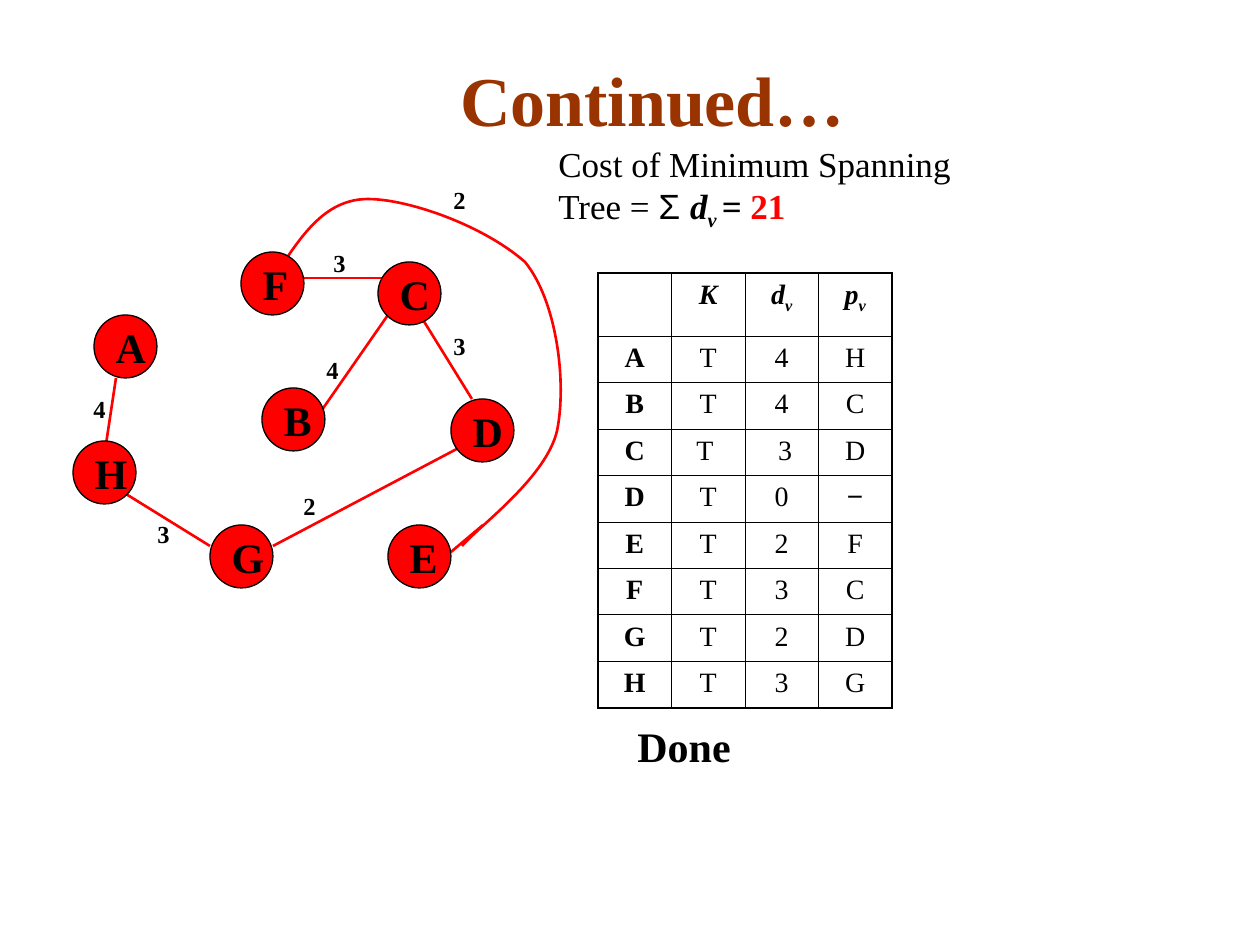
from lxml import etree
from pptx import Presentation, util as u
from pptx.dml.color import RGBColor
from pptx.enum import shapes, text
from pptx.oxml import parse_xml
from pptx.oxml.ns import nsdecls, qn

PX = 914400 // 126
C = {"red": "FF0000", "black": "000000", "title": "993300"}


def add_text(tf, runs, size, align=text.PP_ALIGN.LEFT):
    """Each run is (text, flags[, colour[, font]]); flags: b bold, i italic, s subscript."""
    p = tf.paragraphs[0]
    p.alignment = align
    for words, flags, *look in runs:
        color, font = (look + ["black", "Times New Roman"][len(look):])[:2]
        r = p.add_run()
        r.text = words
        r.font.size = u.Pt(size)
        r.font.name = font
        r.font.bold = "b" in flags
        r.font.italic = "i" in flags
        r.font.color.rgb = RGBColor.from_string(C[color])
        if "s" in flags:
            r._r.get_or_add_rPr().set("baseline", "-25000")


def add_box(x, y, w, h, runs, size, align=text.PP_ALIGN.LEFT):
    tf = s.shapes.add_textbox(x * PX, y * PX, w * PX, h * PX).text_frame
    tf.word_wrap = True
    add_text(tf, runs, size, align)
    return tf


prs = Presentation()
prs.slide_width, prs.slide_height = u.Inches(10), u.Inches(7.5)
s = prs.slides.add_slide(prs.slide_layouts[6])

# Curved edge F-E: a start point, then three points per Bezier segment
curve = [(284, 262), (305, 231), (328, 199), (368, 199), (408, 199), (483, 225), (525, 262),
         (557, 301), (567, 383), (557, 431), (546, 478), (478, 527), (462, 546)]
fb = s.shapes.build_freeform(*curve[0], scale=PX)
fb.add_line_segments(curve[1:], close=False)
sp = fb.convert_to_shape()
sp.shadow.inherit = False
sp.fill.background()
sp.line.color.rgb = RGBColor.from_string(C["red"])
sp.line.width = u.Pt(1.5)
steps = list(sp._element.iter(qn("a:lnTo")))
for i in range(0, len(steps), 3):
    bezier = etree.SubElement(steps[i].getparent(), qn("a:cubicBezTo"))
    for step in steps[i:i + 3]:
        bezier.append(step[0])
        step.getparent().remove(step)

# Straight edges
edges = [(315, 420, 388, 315), (273, 546, 472, 441), (105, 451, 116, 378), (300, 278, 399, 278),
         (420, 315, 472, 399), (210, 546, 126, 494), (483, 525, 451, 552)]
for edge in edges:
    ln = s.shapes.add_connector(shapes.MSO_CONNECTOR.STRAIGHT, *[v * PX for v in edge])
    ln.line.color.rgb = RGBColor.from_string(C["red"])
    ln.line.width = u.Pt(1.5)
    etree.SubElement(ln._element.spPr, qn("a:effectLst"))

# Nodes
nodes = {"A": (94, 315), "H": (73, 441), "B": (262, 388), "F": (241, 252),
         "E": (388, 525), "D": (451, 399), "C": (378, 262), "G": (210, 525)}
for name, (x, y) in nodes.items():
    sp = s.shapes.add_shape(shapes.MSO_SHAPE.OVAL, x * PX, y * PX, 63 * PX, 63 * PX)
    sp.shadow.inherit = False
    sp.fill.solid()
    sp.fill.fore_color.rgb = RGBColor.from_string(C["red"])
    sp.line.color.rgb = RGBColor.from_string(C["black"])
    sp.line.width = u.Pt(0.75)
    tf = sp.text_frame
    tf.word_wrap = False
    tf.vertical_anchor = text.MSO_ANCHOR.MIDDLE
    add_text(tf, [(name, "b")], 24)

# Edge weights
weights = [("4", 81, 388), ("2", 291, 485), ("3", 441, 325), ("4", 314, 349),
           ("3", 321, 242), ("3", 145, 513), ("2", 441, 179)]
for weight, x, y in weights:
    add_box(x, y, 42, 43, [(weight, "b")], 14)

add_box(546, 136, 483, 103, [
    ("Cost of Minimum Spanning Tree = ", ""), ("Σ ", "", "black", "Arial"),
    ("d", "bi"), ("v ", "bis"), ("= ", "bi"), ("21", "b", "red")], 20)

# Table of K, d and p for each vertex
rows = [[[], [("K", "bi")], [("d", "bi"), ("v", "bis")], [("p", "bi"), ("v", "bis")]]]
for vertex, k, d, parent in ["AT4H", "BT4C", ("C", "T ", " 3", "D"), "DT0−",
                             "ET2F", "FT3C", "GT2D", "HT3G"]:
    font = "Arial" if parent == "−" else "Times New Roman"
    rows.append([[(vertex, "b")], [(k, "")], [(d, "")], [(parent, "", "black", font)]])
n_rows, n_cols = len(rows), len(rows[0])
tbl = s.shapes.add_table(n_rows, n_cols, 598 * PX, 273 * PX, 294 * PX, 435 * PX).table
tbl.first_row = tbl.horz_banding = False
for col in tbl.columns:
    col.width = 294 * PX // n_cols
for i, row in enumerate(rows):
    tbl.rows[i].height = 372 * PX // (n_rows - 1) if i else 63 * PX
    for j, runs in enumerate(row):
        cell = tbl.cell(i, j)
        add_text(cell.text_frame, runs, 16, text.PP_ALIGN.CENTER)
        tcPr = cell._tc.get_or_add_tcPr()
        outer = {"L": j == 0, "R": j == n_cols - 1, "T": i == 0, "B": i == n_rows - 1}
        for side, thick in outer.items():
            width = u.Pt(1.08 if thick else 0.45)
            tcPr.append(parse_xml(
                f'<a:ln{side} {nsdecls("a")} w="{width}"><a:solidFill>'
                f'<a:srgbClr val="{C["black"]}"/></a:solidFill></a:ln{side}>'))
        cell.fill.background()

add_box(625, 714, 252, 63, [("Done", "b")], 24)
title = add_box(63, 31, 1179, 116, [("Continued…", "b", "title")], 40, text.PP_ALIGN.CENTER)
title.vertical_anchor = text.MSO_ANCHOR.BOTTOM

prs.save("out.pptx")
